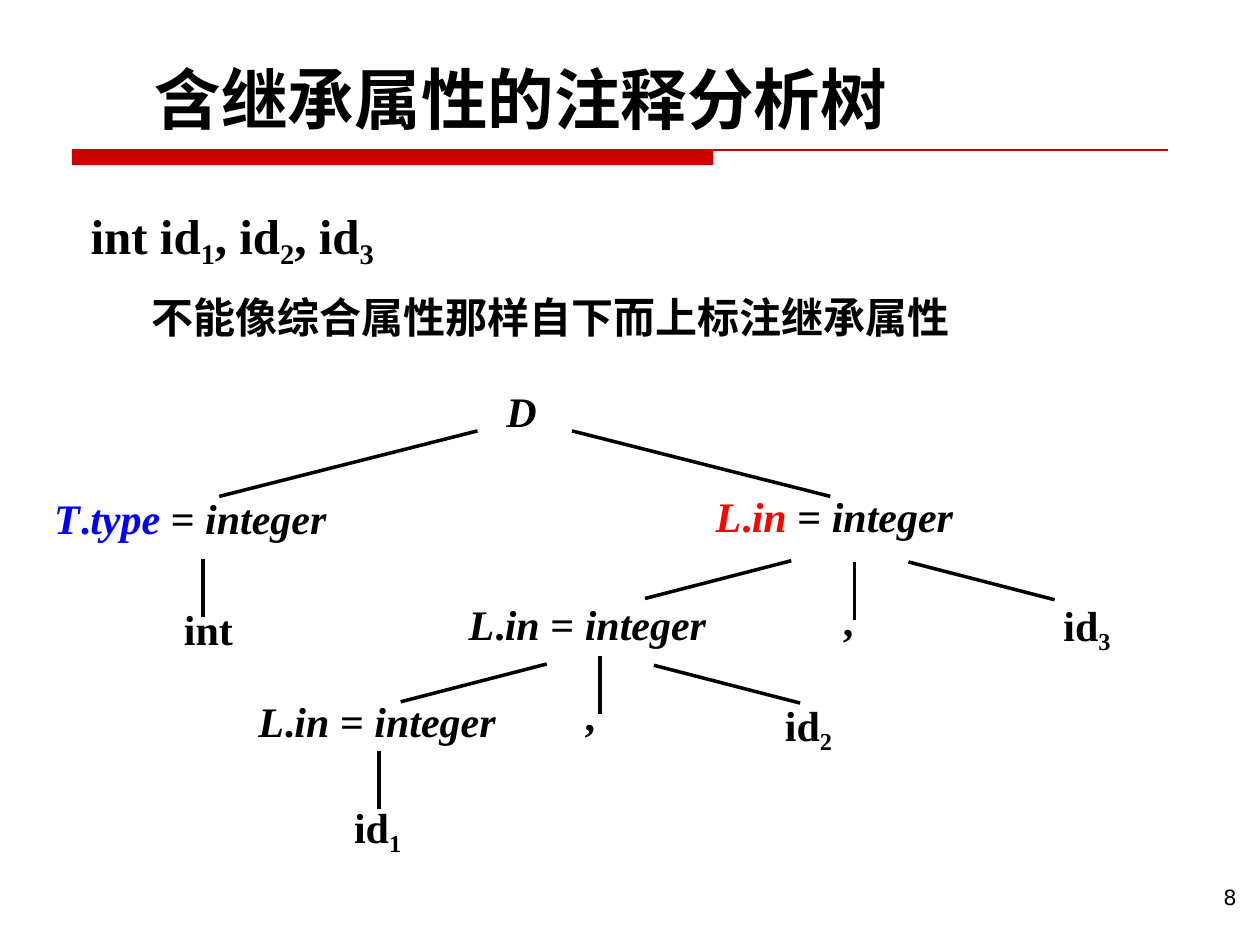
import pptx
import pptx.dml.color
import pptx.enum.shapes
import pptx.enum.text
import pptx.oxml.ns
import pptx.oxml.xmlchemy
import pptx.util
from lxml import etree

Inches = pptx.util.Inches
qn = pptx.oxml.ns.qn

BLACK, RED, BLUE, BAR = "000000", "FF0000", "0000FF", "CC0000"
SERIF, HAN, SANS = "Times New Roman", "Noto Sans CJK SC", "DejaVu Sans"


def color(code):
    return pptx.dml.color.RGBColor.from_string(code)


class Deck:
    base = {"name": SERIF, "size": 24, "bold": True, "italic": False}

    def __init__(self, wide, high):
        self.prs = pptx.Presentation()
        self.prs.slide_width = Inches(wide)
        self.prs.slide_height = Inches(high)
        self.slide = self.prs.slides.add_slide(self.prs.slide_layouts[6])

    def run(self, para, text, ink=BLACK, sub=False, **form):
        run = para.add_run()
        run.text = text
        form = {**self.base, **form}
        form["size"] = pptx.util.Pt(form["size"])
        for key, val in form.items():
            setattr(run.font, key, val)
        run.font.color.rgb = color(ink)
        props = run.font._element
        etree.SubElement(props, qn("a:ea")).set("typeface", form["name"])
        if sub:
            props.set("baseline", "-21000")

    def text(self, left, top, wide, high, paras, pad=0.01, head=0.01):
        """Each paragraph is (format, indent, runs); each run is (text, style)."""
        box = self.slide.shapes.add_textbox(*map(Inches, (left, top, wide, high)))
        frame = box.text_frame
        sides = {"margin_left": pad, "margin_top": head,
                 "margin_right": 0, "margin_bottom": 0}
        for key, val in sides.items():
            setattr(frame, key, Inches(val))
        frame.word_wrap = True
        frame.auto_size = pptx.enum.text.MSO_AUTO_SIZE.SHAPE_TO_FIT_TEXT
        for num, (form, indent, runs) in enumerate(paras):
            para = frame.add_paragraph() if num else frame.paragraphs[0]
            if indent:
                para._p.get_or_add_pPr().set("marL", str(Inches(indent)))
            for key, val in form.items():
                setattr(para, key, val)
            for words, style in runs:
                self.run(para, words, **style)

    def label(self, left, top, wide, high, runs, pad=0.01):
        self.text(left, top, wide, high, [({}, 0, runs)], pad)

    def line(self, x1, y1, x2, y2, ink=BLACK, width=2):
        kind = pptx.enum.shapes.MSO_CONNECTOR.STRAIGHT
        line = self.slide.shapes.add_connector(kind, *map(Inches, (x1, y1, x2, y2)))
        line.line.color.rgb = color(ink)
        line.line.width = pptx.util.Pt(width)
        etree.SubElement(line._element.spPr, qn("a:effectLst"))

    def bar(self, left, top, wide, high, ink):
        kind = pptx.enum.shapes.MSO_SHAPE.RECTANGLE
        bar = self.slide.shapes.add_shape(kind, *map(Inches, (left, top, wide, high)))
        bar.shadow.inherit = False
        bar.fill.solid()
        bar.fill.fore_color.rgb = color(ink)
        bar.line.fill.background()


def ident(num, **form):
    return [("id", form), (str(num), {**form, "sub": True})]


def attrib(sym, name, ink=BLACK):
    return [(sym, {"ink": ink, "italic": True}), (".", {"ink": ink}),
            (name + " ", {"ink": ink, "italic": True}),
            ("= ", {}), ("integer", {"italic": True})]


deck = Deck(10, 7.5)

# Title and rule
deck.bar(0.57, 1.19, 5.09, 0.12, BAR)
deck.line(0.57, 1.19, 9.27, 1.19, BAR, 0.75)
deck.label(1.22, 0.45, 6.7, 0.65,
           [("含继承属性的注释分析树", {"name": HAN, "size": 38})])

# Declaration, remark and root of the tree
big = {"size": 28}
decl = [("int ", big)]
for num in (1, 2, 3):
    decl += ident(num, **big)
    if num < 3:
        decl.append((", ", big))
remark = [("不能像综合属性那样自下而上标注继承属性", {"name": HAN})]
deck.text(0.66, 1.42, 6.96, 2.04, [
    ({}, 0.06, decl),
    ({"space_before": pptx.util.Pt(12.2)}, 0.54, remark),
    ({"space_before": pptx.util.Pt(25),
      "alignment": pptx.enum.text.PP_ALIGN.CENTER}, 0,
     [("D", {"italic": True})]),
], pad=0, head=0.21)

# Attribute nodes
deck.label(0.42, 3.9, 2.19, 0.43, attrib("T", "type", BLUE))
for left, top, ink in ((5.67, 3.88, RED), (3.71, 4.74, BLACK), (2.04, 5.51, BLACK)):
    deck.label(left, top, 1.91, 0.43, attrib("L", "in", ink))

# Leaves
deck.label(1.45, 4.78, 0.42, 0.43, [("int", {})])
for num, left, top in ((1, 2.77, 6.35), (2, 6.19, 5.54), (3, 8.4, 4.75)):
    deck.label(left, top, 0.47, 0.43, ident(num), 0.04)
for left, top in ((6.68, 4.71), (4.63, 5.46)):
    deck.label(left, top, 0.11, 0.43, [(",", {})])

# Branches: start point, then run and drop of each kind
slants = [(3.79, 3.42, -2.05, 0.52), (4.54, 3.42, 2.05, 0.52)]
slants += [(x, y, run, 0.3) for x, y, run in (
    (6.28, 4.45, -1.16), (7.21, 4.46, 1.16),
    (4.34, 5.27, -1.16), (5.19, 5.28, 1.16))]
stems = [(x, y, 0, 0.46) for x, y in (
    (1.61, 4.44), (6.78, 4.46), (4.76, 5.21), (3.01, 5.96))]
for x, y, run, drop in slants + stems:
    deck.line(x, y, x + run, y + drop)

# Page number
deck.label(9.67, 7.01, 0.19, 0.23,
           [("8", {"name": SANS, "size": 12, "bold": False})], 0.04)

deck.prs.save("out.pptx")
